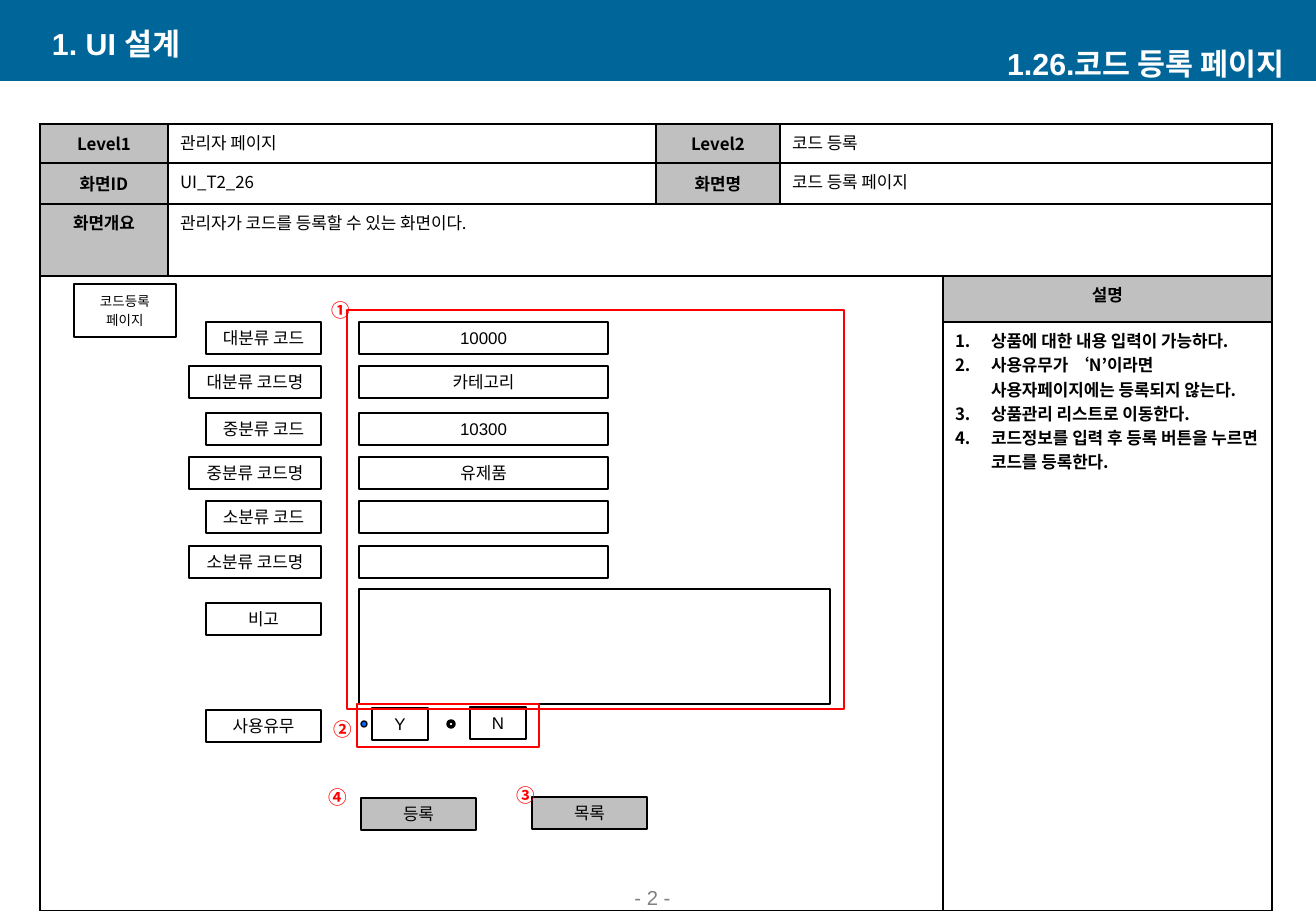
from lxml.etree import SubElement
from pptx import Presentation
from pptx.dml.color import RGBColor
from pptx.enum.shapes import MSO_SHAPE
from pptx.enum.text import MSO_ANCHOR, PP_ALIGN
from pptx.oxml.ns import qn
from pptx.util import Pt

PX = 914400 / 121.5
KOREAN = "Noto Sans CJK KR"
BLACK, WHITE, GRAY, RED = "000000", "FFFFFF", "C0C0C0", "FF0000"

SECTION = "1. UI 설계"
PAGE_TITLE = "1.26.코드 등록 페이지"
PAGE_NUMBER = "- 2 -"

TABLE_LEFT, TABLE_TOP = 40, 124
COLUMNS = [128, 488, 124, 163, 329]
ROWS = [39, 41, 72, 46, 589]
MERGES = [((0, 3), (0, 4)), ((1, 3), (1, 4)), ((2, 1), (2, 4)), ((3, 0), (4, 3))]
HEADINGS = {
    (0, 0): "Level1", (0, 2): "Level2",
    (1, 0): "화면ID", (1, 2): "화면명",
    (2, 0): "화면개요", (3, 4): "설명",
}
DETAILS = {
    (0, 1): "관리자 페이지", (0, 3): "코드 등록",
    (1, 1): "UI_T2_26", (1, 3): "코드 등록 페이지",
    (2, 1): "관리자가 코드를 등록할 수 있는 화면이다.",
}
TOP_ROWS = 2  # rows whose headings sit in the middle
NOTES_CELL = (4, 4)
NOTES = [
    "상품에 대한 내용 입력이 가능하다.",
    "사용유무가 ‘N’이라면 \v사용자페이지에는 등록되지 않는다.",
    "상품관리 리스트로 이동한다.",
    "코드정보를 입력 후 등록 버튼을 누르면 코드를 등록한다.",
]

# label, label width, top, field text (None: no one-line field)
FORM = [
    ("대분류 코드", 115, 322, "10000"),
    ("대분류 코드명", 132, 366, "카테고리"),
    ("중분류 코드", 115, 413, "10300"),
    ("중분류 코드명", 132, 457, "유제품"),
    ("소분류 코드", 115, 501, ""),
    ("소분류 코드명", 132, 546, ""),
    ("비고", 115, 603, None),
    ("사용유무", 115, 710, None),
]
LABEL_RIGHT, FIELD_LEFT, FIELD_WIDTH, ROW_HEIGHT = 321, 359, 249, 32
REMARK_FIELD = (359, 589, 471, 115)
SCREEN_NAME = ["코드등록", "페이지"]
SCREEN_BOX = (74, 284, 102, 53)
BUTTONS = [("등록", 361, 798), ("목록", 532, 797)]
BUTTON_WIDTH = 115
CHOICES = [("Y", 372, 708), ("N", 470, 707)]
CHOICE_WIDTH = 56
RADIOS = [(361, "0066FF", 0.75), (448, WHITE, 2)]
RADIO_TOP, RADIO_SIZE = 721, 6
FRAMES = [((347, 310, 497, 399), 1), ((357, 704, 182, 43), 1.5)]
MARKERS = [("①", 320, 293), ("②", 322, 712), ("③", 505, 778), ("④", 317, 780)]
MARKER_SIZE = (41, 35)


def px(*lengths):
    return [round(length * PX) for length in lengths]


def color(hex_text):
    return RGBColor.from_string(hex_text)


def apply(target, values):
    for name, value in values.items():
        setattr(target, name, value)


def write(frame, lines, size=10, ink=BLACK, font=KOREAN, bold=False,
          align=PP_ALIGN.LEFT, gap=0, numbered=False):
    """Fill a text frame, one paragraph per line."""
    for index, line in enumerate(lines):
        paragraph = frame.paragraphs[0] if index == 0 else frame.add_paragraph()
        paragraph.text = line
        if numbered:
            properties = paragraph._p.get_or_add_pPr()
            left, = px(36)
            properties.set("marL", str(left))
            properties.set("indent", str(-left))
            SubElement(properties, qn("a:buFont"), typeface="+mj-lt")
            SubElement(properties, qn("a:buAutoNum"), type="arabicPeriod")
        apply(paragraph, {"alignment": align, "space_before": Pt(gap if index else 0)})
        for run in paragraph.runs:
            apply(run.font, {"name": font, "size": Pt(size), "bold": bold})
            run.font.color.rgb = color(ink)
            SubElement(run._r.get_or_add_rPr(), qn("a:ea"), typeface=KOREAN)


def set_frame(frame, left=0, right=0):
    left, right = px(left, right)
    apply(frame, {"margin_left": left, "margin_right": right, "margin_top": 0,
                  "margin_bottom": 0, "word_wrap": True,
                  "vertical_anchor": MSO_ANCHOR.MIDDLE})


def add_box(slide, place, lines=(), fill=None, line=BLACK, weight=0.75,
            kind=MSO_SHAPE.RECTANGLE, size=10):
    box = slide.shapes.add_shape(kind, *px(*place))
    box.shadow.inherit = False
    if fill:
        box.fill.solid()
        box.fill.fore_color.rgb = color(fill)
    else:
        box.fill.background()
    if line:
        box.line.color.rgb = color(line)
        box.line.width = Pt(weight)
    else:
        box.line.fill.background()
    set_frame(box.text_frame)
    write(box.text_frame, lines, size=size, font="Arial", align=PP_ALIGN.CENTER, gap=2)
    return box


def add_text(slide, place, text, right=0, **style):
    frame = slide.shapes.add_textbox(*px(*place)).text_frame
    set_frame(frame, right=right)
    write(frame, [text], **style)


def border(cell):
    properties = cell._tc.get_or_add_tcPr()
    for index, side in enumerate(("a:lnL", "a:lnR", "a:lnT", "a:lnB")):
        edge = properties.makeelement(qn(side), {"w": str(Pt(1))})
        fill = SubElement(edge, qn("a:solidFill"))
        SubElement(fill, qn("a:srgbClr"), val=BLACK)
        properties.insert(index, edge)


def add_header(slide):
    bar = add_box(slide, (0, 0, 1316, 81), fill="006699", line=None)
    slide.shapes._spTree.insert(2, bar._element)
    heading = {"size": 18, "ink": WHITE, "font": "Arial", "bold": True}
    title = slide.shapes.title
    left, top, width, height = px(40, 23, 532, 40)
    apply(title, {"left": left, "top": top, "width": width, "height": height})
    set_frame(title.text_frame, left=12)
    write(title.text_frame, [SECTION], **heading)
    add_text(slide, (784, 43, 532, 40), PAGE_TITLE, right=32,
             align=PP_ALIGN.RIGHT, **heading)


def add_spec_table(slide):
    place = px(TABLE_LEFT, TABLE_TOP, sum(COLUMNS), sum(ROWS))
    table = slide.shapes.add_table(len(ROWS), len(COLUMNS), *place).table
    apply(table, {"first_row": False, "horz_banding": False})
    for column, width in zip(table.columns, px(*COLUMNS)):
        column.width = width
    for row, height in zip(table.rows, px(*ROWS)):
        row.height = height
    for start, end in MERGES:
        table.cell(*start).merge(table.cell(*end))
    for r in range(len(ROWS)):
        for c in range(len(COLUMNS)):
            cell = table.cell(r, c)
            if (r, c) in HEADINGS:
                cell.fill.solid()
                cell.fill.fore_color.rgb = color(GRAY)
                write(cell.text_frame, [HEADINGS[r, c]], bold=True, align=PP_ALIGN.CENTER)
                if r < TOP_ROWS:
                    cell.vertical_anchor = MSO_ANCHOR.MIDDLE
            else:
                cell.fill.background()
                if (r, c) in DETAILS:
                    write(cell.text_frame, [DETAILS[r, c]])
            border(cell)
    write(table.cell(*NOTES_CELL).text_frame, NOTES, bold=True, numbered=True)


def add_form(slide):
    add_box(slide, SCREEN_BOX, SCREEN_NAME, size=8)
    for label, width, top, field in FORM:
        add_box(slide, (LABEL_RIGHT - width, top, width, ROW_HEIGHT), [label])
        if field is not None:
            add_box(slide, (FIELD_LEFT, top, FIELD_WIDTH, ROW_HEIGHT), [field])
    add_box(slide, REMARK_FIELD)
    for text, left, top in BUTTONS:
        add_box(slide, (left, top, BUTTON_WIDTH, ROW_HEIGHT), [text], fill=GRAY)
    for text, left, top in CHOICES:
        add_box(slide, (left, top, CHOICE_WIDTH, ROW_HEIGHT), [text])
    for left, fill, weight in RADIOS:
        add_box(slide, (left, RADIO_TOP, RADIO_SIZE, RADIO_SIZE), fill=fill,
                weight=weight, kind=MSO_SHAPE.OVAL)
    for place, weight in FRAMES:
        add_box(slide, place, line=RED, weight=weight)
    for sign, left, top in MARKERS:
        add_text(slide, (left, top, *MARKER_SIZE), sign, size=11, ink=RED,
                 bold=True, align=PP_ALIGN.CENTER)


def main():
    deck = Presentation()
    deck.slide_width, deck.slide_height = px(1316, 911)
    slide = deck.slides.add_slide(deck.slide_layouts.get_by_name("Title Only"))
    add_header(slide)
    add_spec_table(slide)
    add_text(slide, (515, 883, 275, 28), PAGE_NUMBER, size=12, ink="808080",
             font="Arial", align=PP_ALIGN.CENTER)
    add_form(slide)
    deck.save("out.pptx")


if __name__ == "__main__":
    main()
